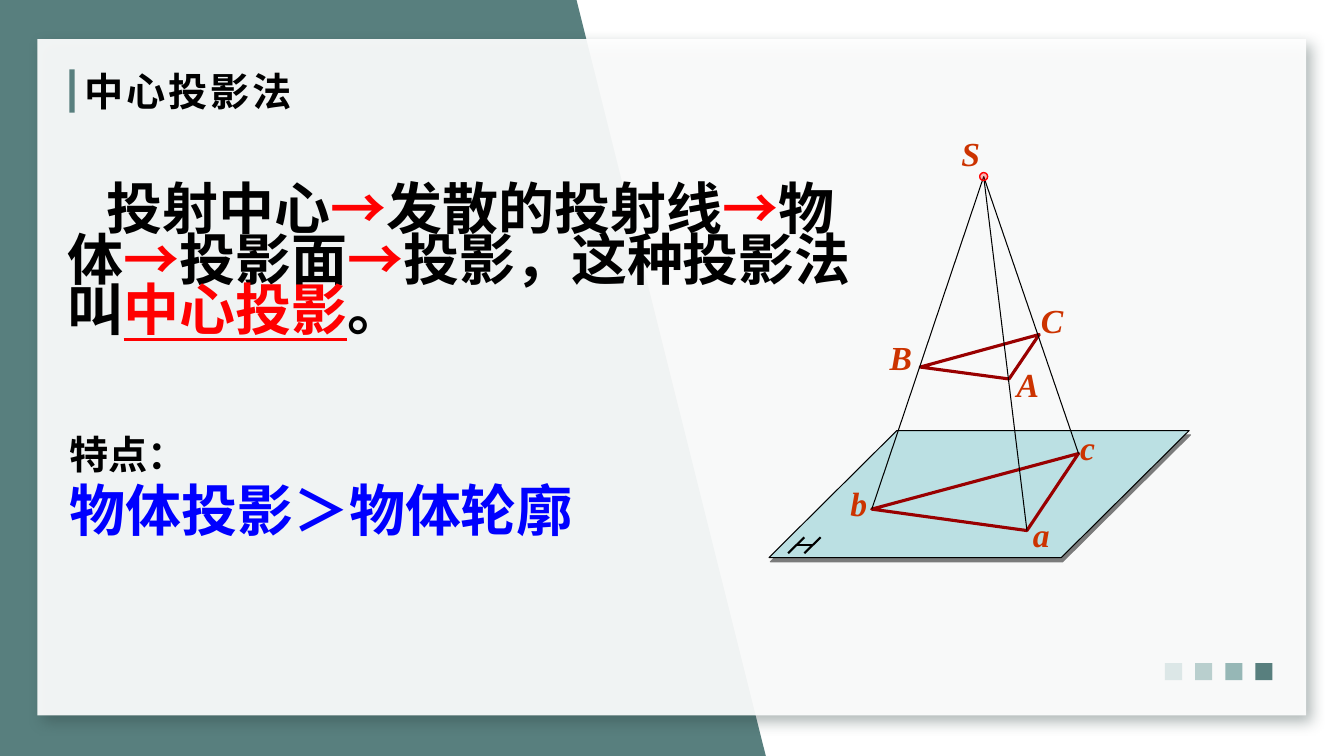
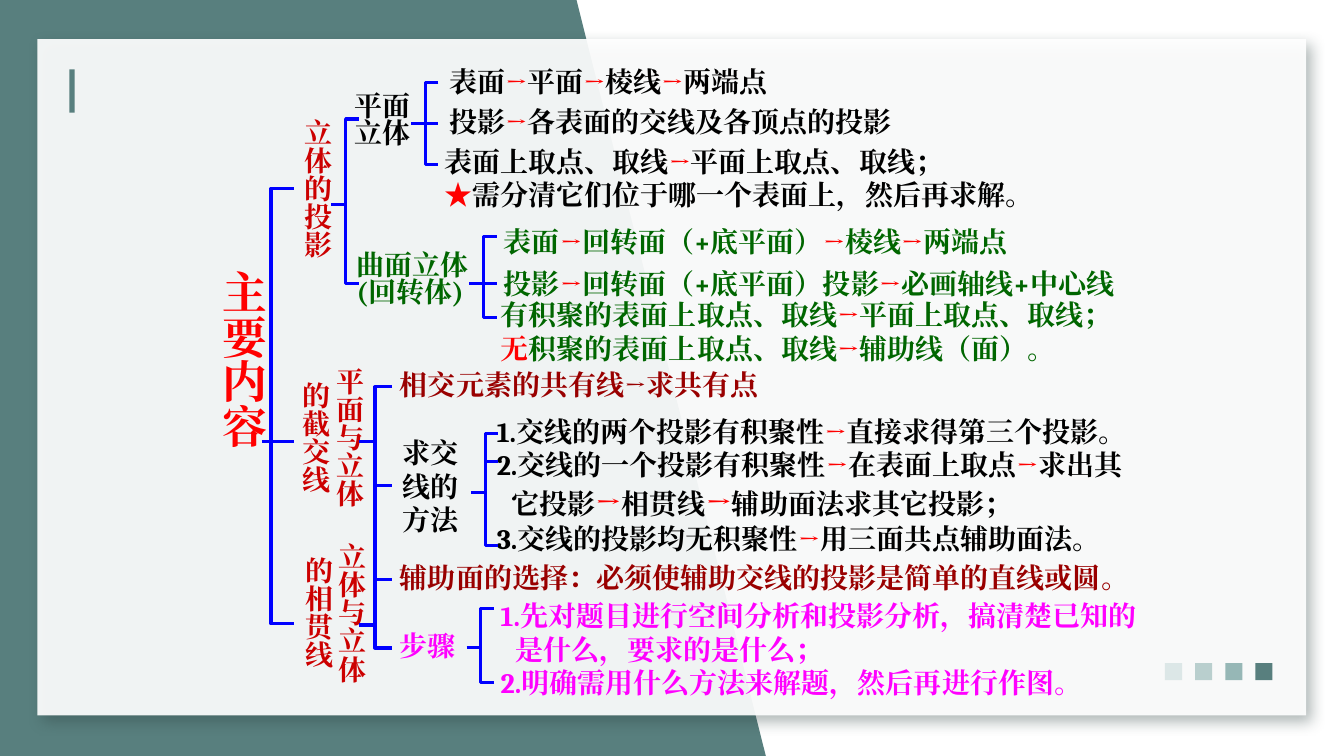
from dataclasses import dataclass
from typing import NamedTuple

from lxml import etree
from pptx import Presentation
from pptx.dml.color import RGBColor
from pptx.enum.shapes import MSO_CONNECTOR, MSO_SHAPE
from pptx.enum.text import MSO_ANCHOR, MSO_AUTO_SIZE, PP_ALIGN
from pptx.oxml.ns import qn
from pptx.util import Cm, Pt

RECT, OVAL, SLANTED = MSO_SHAPE.RECTANGLE, MSO_SHAPE.OVAL, MSO_SHAPE.PARALLELOGRAM
STRAIGHT = MSO_CONNECTOR.STRAIGHT
LEFT, CENTER = PP_ALIGN.LEFT, PP_ALIGN.CENTER
TOP, MIDDLE = MSO_ANCHOR.TOP, MSO_ANCHOR.MIDDLE
NO_FIT = MSO_AUTO_SIZE.NONE


@dataclass(frozen=True)
class Theme:
    """Colours, fonts and type sizes of the deck."""
    teal: str = "587F7E"
    tints: tuple[str, ...] = ("DCE7E7", "B9CFCE", "96B7B6", "587F7E")
    panel_shadow: str = "2C403F"
    white: str = "FFFFFF"
    black: str = "000000"
    red: str = "FF0000"
    crimson: str = "CC0000"
    maroon: str = "990000"
    letter: str = "CC3300"
    blue: str = "0000FF"
    green: str = "006600"
    magenta: str = "FF00FF"
    plane: str = "BBE0E3"
    heading: str = "Noto Sans CJK SC"
    arrow: str = "Courier New"
    note: str = "Arial"
    letter_font: str = "Times New Roman"
    outline: str = "Cambria"
    statement_size: int = 40
    root_size: int = 32
    title_size: int = 28
    letter_size: int = 24
    outline_size: int = 20


T = Theme()


class Box(NamedTuple):
    """Left, top, width and height in centimetres."""
    x: float
    y: float
    w: float
    h: float


class Point(NamedTuple):
    """A position in centimetres."""
    x: float
    y: float


@dataclass(frozen=True)
class Bracket:
    """A spine with arms to the right and stems to the left."""
    spine: float
    top: float
    bottom: float
    stems: tuple[float, ...]
    branches: tuple[float, ...] = ()
    arm: float = 0.33
    stem: float = 0.36


@dataclass(frozen=True)
class Entry:
    """One text of the outline."""
    box: Box
    lines: tuple[str, ...]
    color: str = T.black
    align: PP_ALIGN = LEFT
    spacing: float | None = None
    size: int = T.outline_size
    vertical: bool = False


def rgb(value: str) -> RGBColor:
    """Turn a hex string into a colour."""
    return RGBColor.from_string(value)


def place(sp, box: Box) -> None:
    """Move and size a shape."""
    sp.left, sp.top, sp.width, sp.height = map(Cm, box)


def paint(sp, fill: str | None = None, line: str | None = None,
          width: float = 0.75, alpha: int = 100) -> None:
    """Set fill, outline and opacity and remove the shadow."""
    sp.shadow.inherit = False
    if fill:
        sp.fill.solid()
        sp.fill.fore_color.rgb = rgb(fill)
        if alpha < 100:
            clr = sp.element.spPr.find(".//" + qn("a:srgbClr"))
            etree.SubElement(clr, qn("a:alpha"), val=str(alpha * 1000))
    else:
        sp.fill.background()
    if line:
        sp.line.color.rgb = rgb(line)
        sp.line.width = Pt(width)
    else:
        sp.line.fill.background()


def cast_shadow(sp, color: str, alpha: int, blur: float, dist: float, angle: int) -> None:
    """Give a painted shape an outer shadow."""
    effects = sp.element.spPr.find(qn("a:effectLst"))
    shadow = etree.SubElement(effects, qn("a:outerShdw"), blurRad=str(Pt(blur)),
                              dist=str(Pt(dist)), dir=str(angle * 60000),
                              algn="tl", rotWithShape="0")
    clr = etree.SubElement(shadow, qn("a:srgbClr"), val=color)
    etree.SubElement(clr, qn("a:alpha"), val=str(alpha * 1000))


def add_box(s, kind: MSO_SHAPE, box: Box, **look):
    """Add a painted preset shape."""
    sp = s.shapes.add_shape(kind, *map(Cm, box))
    paint(sp, **look)
    return sp


def add_path(s, points: list[Point], close: bool = True, **look):
    """Add a painted freeform through the points."""
    start, *rest = [(Cm(x), Cm(y)) for x, y in points]
    builder = s.shapes.build_freeform(*start)
    builder.add_line_segments(rest, close=close)
    sp = builder.convert_to_shape()
    paint(sp, **look)
    return sp


def add_line(s, a: Point, b: Point, color: str = T.black, width: float = 0.75) -> None:
    """Add a straight line without shadow."""
    line = s.shapes.add_connector(STRAIGHT, *map(Cm, (*a, *b)))
    line.line.color.rgb = rgb(color)
    line.line.width = Pt(width)
    etree.SubElement(line.element.spPr, qn("a:effectLst"))


def write(tf, lines: tuple[str, ...], *, font: str, size: int, color: str = T.black,
          italic: bool = False, align: PP_ALIGN = LEFT, anchor: MSO_ANCHOR = TOP,
          spacing: float | None = None, tracking: int = 0, margin: float = 0,
          indent: float = 0, accent_font: str | None = None) -> None:
    """Fill a frame; |x| is red, |+x| larger, |_x| underlined, a leading > indents."""
    tf.word_wrap = True
    tf.auto_size = NO_FIT
    tf.vertical_anchor = anchor
    for i, text in enumerate(lines):
        p = tf.add_paragraph() if i else tf.paragraphs[0]
        left = margin + (0.36 if text.startswith(">") else 0)
        pPr = p._p.get_or_add_pPr()
        pPr.set("marL", str(Cm(left)))
        pPr.set("indent", str(Cm(indent)))
        etree.SubElement(pPr, qn("a:buNone"))
        p.alignment = align
        p.space_before = Pt(0)
        if spacing:
            p.line_spacing = spacing
        for n, part in enumerate(text.removeprefix(">").split("|")):
            if not part:
                continue
            accent = n % 2 == 1
            r = p.add_run()
            r.text = part.lstrip("+_") if accent else part
            r.font.bold = True
            r.font.italic = italic
            r.font.size = Pt(T.letter_size if accent and part[0] == "+" else size)
            r.font.color.rgb = rgb(T.red if accent else color)
            r.font.name = accent_font if accent_font and part == "→" else font
            if accent and part[0] == "_":
                r.font.underline = True
            rPr = r.font._element
            etree.SubElement(rPr, qn("a:ea"), typeface=font)
            if tracking:
                rPr.set("spc", str(tracking * 100))


def add_text(s, box: Box, lines: tuple[str, ...], vertical: bool = False, **fmt) -> None:
    """Add a text box, upright or set in columns."""
    tb = s.shapes.add_textbox(*map(Cm, box))
    write(tb.text_frame, lines, **fmt)
    if vertical:
        tb.element.txBody.bodyPr.set("vert", "eaVert")


def add_bracket(s, b: Bracket) -> None:
    """Draw a bracket with its stems and branches."""
    tip = b.spine + b.arm
    add_path(s, [Point(tip, b.top), Point(b.spine, b.top), Point(b.spine, b.bottom),
                 Point(tip, b.bottom)], close=False, line=T.blue, width=2.25)
    ticks = [(y, b.spine - b.stem, b.spine) for y in b.stems]
    ticks += [(y, b.spine, tip) for y in b.branches]
    for y, x1, x2 in ticks:
        add_line(s, Point(x1, y), Point(x2, y), T.blue, 2.25)


def build_master(prs, s) -> None:
    """Draw the backdrop on a slide and hand it to the master."""
    band = add_path(s, [Point(0, 0), Point(14.53, 0), Point(19.3, 19.05),
                        Point(0, 19.05)], fill=T.teal)
    panel = add_box(s, RECT, Box(0.94, 0.99, 31.98, 17.04), fill=T.white, alpha=92)
    cast_shadow(panel, T.panel_shadow, 40, 10, 6, 45)
    squares = [add_box(s, RECT, Box(29.36 + 0.76 * i, 16.71, 0.43, 0.43), fill=tint)
               for i, tint in enumerate(T.tints)]
    bar = add_box(s, RECT, Box(1.75, 1.75, 0.13, 1.09), fill=T.teal)
    for sp in (band, panel, *squares, bar):
        prs.slide_master.shapes.element.append(sp.element)


def draw_projection(s) -> None:
    """Draw the central projection of a triangle onto a plane."""
    plane = add_box(s, SLANTED, Box(19.38, 10.85, 10.59, 3.2), fill=T.plane, line=T.black)
    plane.adjustments[0] = 1.007
    cast_shadow(plane, T.black, 50, 0, 3.2, 72)
    for a, b in ((Point(20.27, 13.54), Point(19.86, 13.94)),
                 (Point(20.68, 13.54), Point(20.27, 13.94)),
                 (Point(20.07, 13.74), Point(20.47, 13.74))):
        add_line(s, a, b, width=1.5)
    center = Point(24.79, 4.45)
    image = [Point(21.97, 12.83), Point(27.18, 11.43), Point(25.88, 13.37)]
    triangle = [Point(23.19, 9.25), Point(26.19, 8.43), Point(25.43, 9.55)]
    for corners in (image, triangle):
        add_path(s, corners, line=T.maroon, width=2.25)
    for corner in image:
        add_line(s, corner, center)
    add_box(s, OVAL, Box(center.x - 0.1, center.y - 0.1, 0.2, 0.2),
            fill=T.red, alpha=27, line=T.red, width=1)
    letters = {"S": Point(23.98, 3.23), "A": Point(25.37, 9.04), "B": Point(22.17, 8.36),
               "C": Point(25.98, 7.44), "a": Point(25.78, 12.83),
               "b": Point(21.18, 12.04), "c": Point(26.97, 10.64)}
    for letter, at in letters.items():
        add_text(s, Box(*at, 0.99, 1.27), (letter,), font=T.letter_font,
                 size=T.letter_size, color=T.letter, italic=True)


def build_projection(s) -> None:
    """Fill the slide on central projection."""
    title, body = s.shapes.title, s.placeholders[1]
    place(title, Box(1.88, 1.68, 13.36, 1.22))
    write(title.text_frame, ("中心投影法",), font=T.heading, size=T.title_size,
          anchor=MIDDLE, tracking=2)
    place(body, Box(0.48, 4.65, 21.29, 5.6))
    write(body.text_frame,
          ("投射中心|→|发散的投射线|→|物体|→|投影面|→|投影，这种投影法叫|_中心投影|。",),
          font=T.heading, size=T.statement_size, spacing=0.75, margin=0.97, indent=0.99,
          accent_font=T.arrow)
    add_text(s, Box(1.5, 10.72, 14.81, 1.3), ("特点：",), font=T.note, size=T.title_size)
    add_text(s, Box(1.5, 11.86, 14.81, 1.9), ("物体投影＞物体轮廓",), font=T.note,
             size=T.statement_size, color=T.blue)
    draw_projection(s)


BRACKETS = (
    Bracket(6.83, 4.75, 15.72, (11.13,), (11.13,), arm=0.58, stem=0.23),
    Bracket(8.71, 3, 7.14, (5.16,)),
    Bracket(9.45, 9.75, 16.33, (11.13, 15.75), (12.24, 14.6), arm=0.43, stem=0.41),
    Bracket(12.12, 15.34, 17.2, (16.31,)),
    Bracket(12.24, 10.92, 13.74, (12.4,), (11.63,), arm=0.3),
    Bracket(10.72, 2.08, 4.14, (3.12,), (3.12,)),
    Bracket(12.19, 5.97, 8, (7.14,), (7.14,)),
)

ENTRIES = (
    Entry(Box(5.08, 6.55, 1.85, 5.08), ("主要内容",), T.red, CENTER,
          size=T.root_size, vertical=True),
    Entry(Box(7.19, 2.74, 1.27, 4.06), ("立体的投影",), T.crimson, CENTER, 0.9, vertical=True),
    Entry(Box(7.14, 9.02, 2.21, 4.06), ("平面与立体的截交线",), T.crimson, CENTER, vertical=True),
    Entry(Box(7.21, 13.44, 2.21, 4.06), ("立体与立体的相贯线",), T.crimson, CENTER, vertical=True),
    Entry(Box(8.69, 2.26, 2.51, 1.63), ("平面", "立体"), spacing=0.8),
    Entry(Box(11.07, 1.5, 12.4, 1.09), ("表面|→|平面|→|棱线|→|两端点",)),
    Entry(Box(11.07, 2.51, 15.01, 1.09), ("投影|→|各表面的交线及各顶点的投影",)),
    Entry(Box(10.95, 3.51, 16.59, 1.96),
          ("表面上取点、取线|→|平面上取点、取线；", "|★|需分清它们位于哪一个表面上，然后再求解。")),
    Entry(Box(8.74, 6.27, 3.84, 1.63), ("曲面立体", "(回转体)"), T.green, spacing=0.8),
    Entry(Box(12.45, 5.54, 16.43, 1.09),
          ("表面|→|回转面（+底平面）|→|棱线|→|两端点",), T.green),
    Entry(Box(12.45, 6.58, 19.63, 1.09),
          ("投影|→|回转面（+底平面）投影|→|必画轴线+中心线",), T.green),
    Entry(Box(12.37, 7.37, 16.59, 1.96),
          ("有积聚的表面上取点、取线|→|平面上取点、取线；",
           "|无|积聚的表面上取点、取线|→|辅助线（面）。"), T.green),
    Entry(Box(9.83, 9.14, 12.42, 1.09), ("相交元素的共有线→求共有点",), T.maroon),
    Entry(Box(9.7, 10.85, 2.29, 2.79), ("求交线的方法",), align=CENTER),
    Entry(Box(12.27, 10.31, 17.07, 3.81),
          ("1.交线的两个投影有积聚性|→|直接求得第三个投影。",
           "2.交线的一个投影有积聚性|→|在表面上取点|→|求出其",
           ">它投影|+→|相贯线|+→|辅助面法求其它投影；",
           "3.交线的投影均无积聚性|→|用三面共点辅助面法。")),
    Entry(Box(9.83, 14, 19.05, 1.09),
          ("辅助面的选择：必须使辅助交线的投影是简单的直线或圆。",), T.maroon),
    Entry(Box(9.58, 15.72, 2.41, 1.09), ("步骤",), T.magenta, CENTER),
    Entry(Box(12.37, 14.96, 17.35, 2.79),
          ("1.先对题目进行空间分析和投影分析，搞清楚已知的", ">是什么，要求的是什么；",
           "2.明确需用什么方法来解题，然后再进行作图。"), T.magenta),
)


def build_outline(s) -> None:
    """Fill the slide with the outline of the main contents."""
    for e in ENTRIES:
        add_text(s, e.box, e.lines, e.vertical, font=T.outline, size=e.size,
                 color=e.color, align=e.align, spacing=e.spacing)
    for b in BRACKETS:
        add_bracket(s, b)


def main() -> None:
    """Build and save the deck."""
    prs = Presentation()
    prs.slide_width, prs.slide_height = Cm(33.87), Cm(19.05)
    content, blank = prs.slide_layouts[1], prs.slide_layouts[6]
    s = prs.slides.add_slide(content)
    build_master(prs, s)
    build_projection(s)
    build_outline(prs.slides.add_slide(blank))
    prs.save("out.pptx")


if __name__ == "__main__":
    main()
